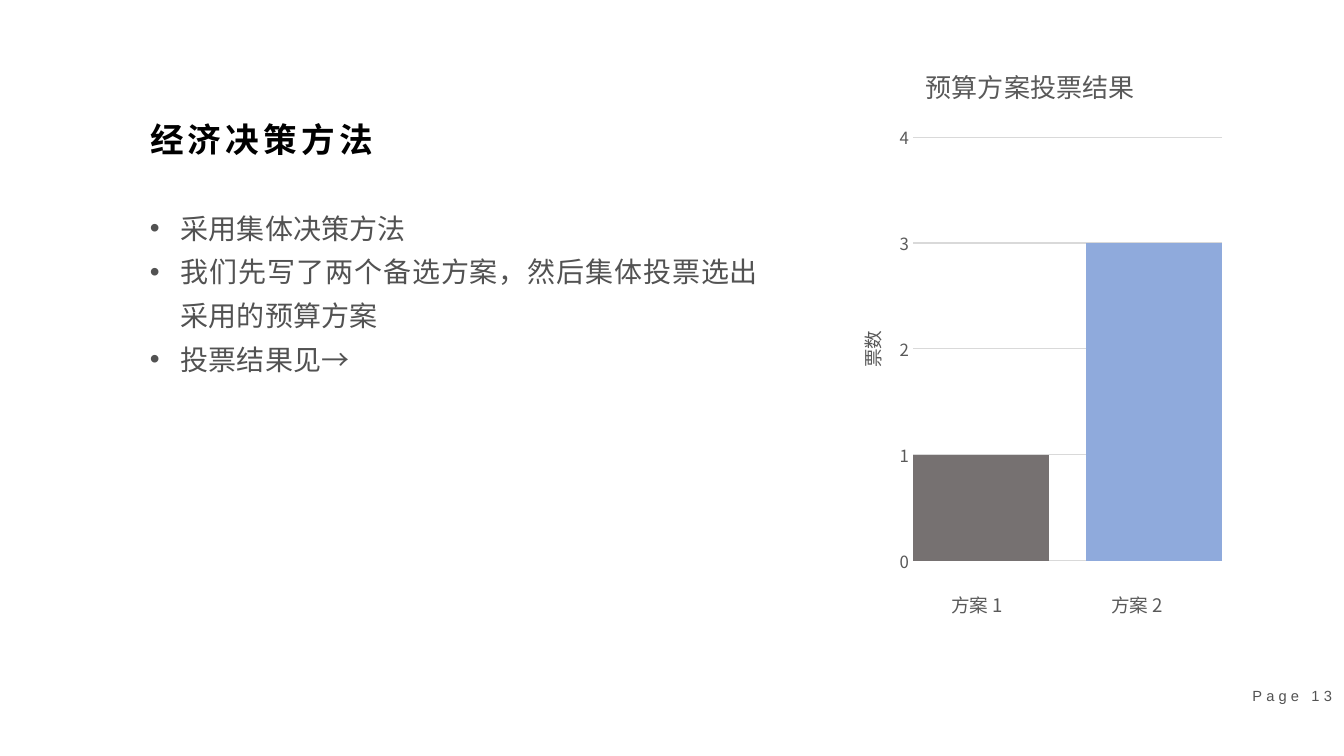
from lxml import etree
from pptx import Presentation
from pptx.chart.data import CategoryChartData
from pptx.dml.color import RGBColor
from pptx.enum.chart import XL_CHART_TYPE, XL_TICK_MARK
from pptx.enum.text import MSO_ANCHOR, MSO_AUTO_SIZE, PP_ALIGN
from pptx.oxml import parse_xml
from pptx.oxml.ns import nsdecls, qn
from pptx.util import Emu, Pt

COLUMN = XL_CHART_TYPE.COLUMN_CLUSTERED
NO_TICK = XL_TICK_MARK.NONE
TOP, MIDDLE = MSO_ANCHOR.TOP, MSO_ANCHOR.MIDDLE
LEFT, CENTER, RIGHT, JUSTIFY = (PP_ALIGN.LEFT, PP_ALIGN.CENTER,
                                PP_ALIGN.RIGHT, PP_ALIGN.JUSTIFY)
EMU_PER_PX = 914400 / 100.8
LATIN, CJK = "Arial", "Noto Sans CJK SC"
BLACK, GRAY, CHART_GRAY, GRID = "000000", "525252", "595959", "D9D9D9"


def px(n):
    return Emu(round(n * EMU_PER_PX))


def rgb(value):
    return RGBColor.from_string(value)


def style_font(font, size, color, name=CJK, bold=False):
    font.size, font.bold, font.name = Pt(size), bold, name
    font.color.rgb = rgb(color)


def write(tf, text, size=20, color=GRAY, font=LATIN, bold=False, spacing=0,
          align=LEFT, anchor=TOP, line=1.0, bullet=None):
    """Fill a text frame, one paragraph for each line of text."""
    tf.word_wrap, tf.auto_size = True, MSO_AUTO_SIZE.NONE
    tf.vertical_anchor = anchor
    for i, words in enumerate(text.split("\n")):
        p = tf.paragraphs[0] if i == 0 else tf.add_paragraph()
        p.alignment, p.line_spacing = align, line
        r = p.add_run()
        r.text = words
        style_font(r.font, size, color, font, bold)
        rPr = r.font._element
        rPr.set("spc", str(spacing * 100))
        rPr.find(qn("a:latin")).addnext(
            parse_xml(f'<a:ea {nsdecls("a")} typeface="{CJK}"/>'))
        if bullet:
            pPr = p._p.get_or_add_pPr()
            pPr.set("marL", str(px(31)))
            pPr.set("indent", str(-px(31)))
            etree.SubElement(pPr, qn("a:buFont")).set("typeface", LATIN)
            etree.SubElement(pPr, qn("a:buChar")).set("char", bullet)


def add_text(slide, box, text, **fmt):
    sp = slide.shapes.add_textbox(*map(px, box))
    write(sp.text_frame, text, **fmt)
    return sp


def place_title(slide, box, text):
    sp = slide.shapes.title
    sp.left, sp.top, sp.width, sp.height = map(px, box)
    write(sp.text_frame, text, size=24, color=BLACK, bold=True, spacing=3)


def chart_text(tf, text, size):
    tf.text = text
    style_font(tf.paragraphs[0].runs[0].font, size, CHART_GRAY)


def set_plot_area(chart, x, y, w, h):
    """Fix the inner plot area, in fractions of the chart."""
    area = chart._chartSpace.chart.plotArea
    for old in area.findall(qn("c:layout")):
        area.remove(old)
    sizes = "".join(f'<c:{k} val="{v:.3f}"/>'
                    for k, v in zip("xywh", (x, y, w, h)))
    area.insert(0, parse_xml(
        f'<c:layout {nsdecls("c")}><c:manualLayout>'
        '<c:layoutTarget val="inner"/><c:xMode val="edge"/>'
        f'<c:yMode val="edge"/>{sizes}</c:manualLayout></c:layout>'))


def add_vote_chart(slide, box, votes):
    left, top, width, height = box
    plot_x, plot_y, plot_w, plot_h = 83, 95, 309, 424

    data = CategoryChartData()
    data.categories = ["1"]
    for name, count, _ in votes:
        data.add_series(name, [count])
    chart = slide.shapes.add_chart(COLUMN, *map(px, box), data).chart
    chart.has_legend = False
    style_font(chart.font, 12, CHART_GRAY)
    chart.has_title = True
    chart_text(chart.chart_title.text_frame, "预算方案投票结果", 18.6)
    chart.chart_title.include_in_layout = False
    set_plot_area(chart, plot_x / width, plot_y / height,
                  plot_w / width, plot_h / height)

    # Axes
    chart.category_axis.visible = False
    axis = chart.value_axis
    axis.minimum_scale, axis.maximum_scale, axis.major_unit = 0, 4, 1
    axis.major_tick_mark = axis.minor_tick_mark = NO_TICK
    axis.format.line.fill.background()
    style_font(axis.tick_labels.font, 12, CHART_GRAY)
    grid = axis.major_gridlines.format.line
    grid.width, grid.color.rgb = Pt(0.75), rgb(GRID)
    chart_text(axis.axis_title.text_frame, "票数", 13.3)
    axis.axis_title.text_frame._txBody.bodyPr.set("rot", "-5400000")

    # Columns, each with its name below
    plot = chart.plots[0]
    plot.gap_width, plot.overlap, plot.vary_by_categories = 0, -27, False
    label_w, label_step = 120, 160
    for i, (series, (name, _, color)) in enumerate(zip(plot.series, votes)):
        series.format.fill.solid()
        series.format.fill.fore_color.rgb = rgb(color)
        x = left + plot_x + 64 - label_w // 2 + i * label_step
        add_text(slide, (x, top + 543, label_w, 40), name, size=13.3,
                 color=CHART_GRAY, font=CJK, align=CENTER, anchor=MIDDLE)


def main():
    prs = Presentation()
    prs.slide_width, prs.slide_height = px(1344), px(756)
    slide = prs.slides.add_slide(prs.slide_layouts[5])
    place_title(slide, (140, 114, 336, 50), "经济决策方法")
    add_text(slide, (140, 196, 628, 182),
             "采用集体决策方法\n我们先写了两个备选方案，然后集体投票选出采用的预算方案\n投票结果见→",
             align=JUSTIFY, line=1.3, bullet="•")
    add_vote_chart(slide, (830, 42, 401, 598),
                   [("方案 1", 1, "767171"), ("方案 2", 3, "8FAADC")])
    add_text(slide, (1231, 676, 111, 40), "Page 13", size=10.5, spacing=3,
             align=RIGHT, anchor=MIDDLE)
    prs.save("out.pptx")


if __name__ == "__main__":
    main()
